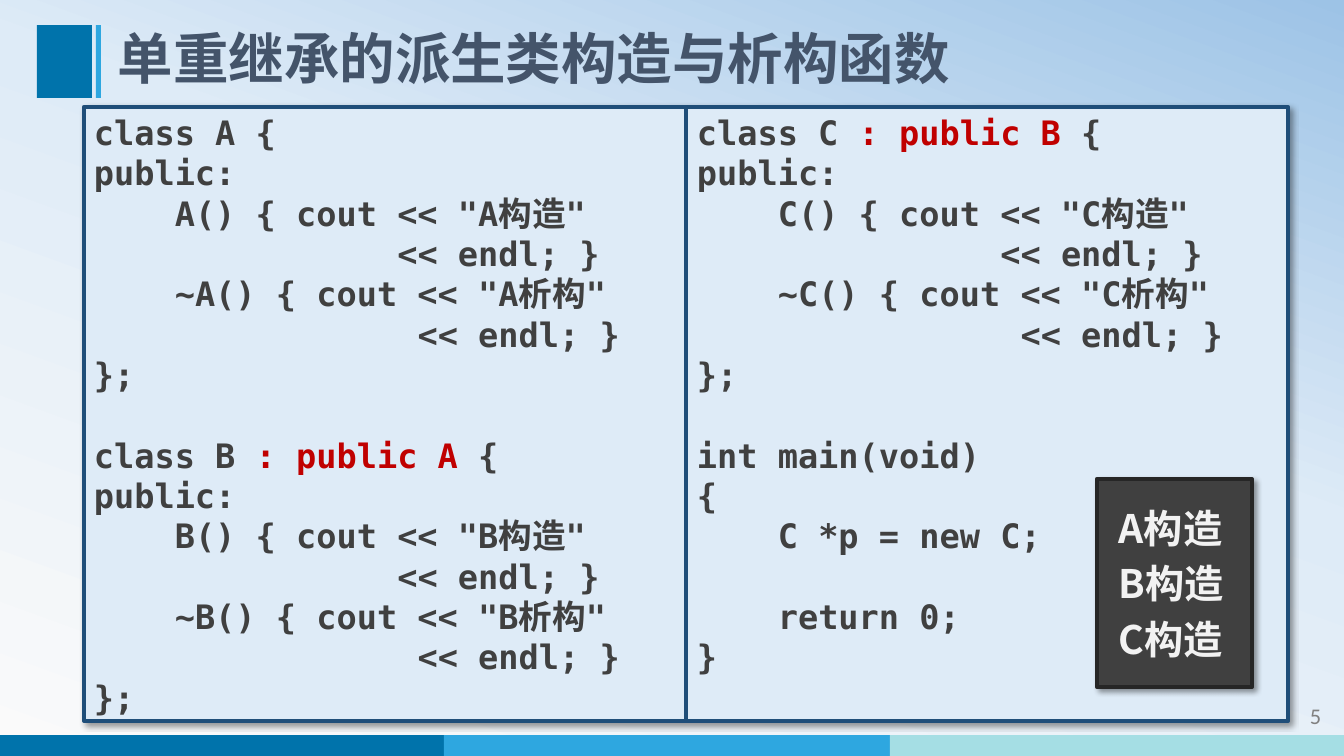
from lxml import etree
from pptx import Presentation
from pptx.dml.color import RGBColor
from pptx.enum.shapes import MSO_CONNECTOR, MSO_SHAPE
from pptx.enum.text import MSO_ANCHOR, PP_ALIGN
from pptx.oxml.ns import qn
from pptx.util import Emu, Pt

RECT, STRAIGHT = MSO_SHAPE.RECTANGLE, MSO_CONNECTOR.STRAIGHT
TOP, MIDDLE = MSO_ANCHOR.TOP, MSO_ANCHOR.MIDDLE
LEFT, RIGHT = PP_ALIGN.LEFT, PP_ALIGN.RIGHT
PX = 914400 / 100.8
CJK = "Noto Sans CJK SC"

THEME = {
    "background": [(0, "FAFAFA"), (58, "DEEBF7"), (100, "9DC3E6")],
    "bars": ["0073AB", "2EA7E0", "A5DEE4"],
    "panel": "DEEBF7", "border": "1F4E79",
    "output": "404040", "output_border": "262626",
    "accent": "C00000", "shadow": "000000",
    "title": {"name": CJK, "size": 39.6, "color": "44546A", "bold": True, "spacing": 0.9},
    "code": {"name": "DejaVu Sans Mono", "size": 24, "color": "404040", "bold": True,
             "spacing": Pt(28.8)},
    "result": {"name": CJK, "size": 28, "color": "F2F2F2", "bold": True,
               "spacing": Pt(33.6), "before": Pt(6)},
    "number": {"name": "Calibri", "size": 16, "color": "808080", "bold": False, "spacing": 1.0},
}
CODE_COLUMN = 20.23  # px width of one monospaced character

CLASS_BODY = '''public:
    @() { cout << "@构造"
               << endl; }
    ~@() { cout << "@析构"
                << endl; }
};'''
MAIN = '''int main(void)
{
    C *p = new C;

    return 0;
}'''


def add_rect(box, fill, border=None, shadow=False):
    s = slide.shapes.add_shape(RECT, *(Emu(round(v * PX)) for v in box))
    s.shadow.inherit = False
    s.fill.solid()
    s.fill.fore_color.rgb = RGBColor.from_string(fill)
    if border:
        s.line.color.rgb = RGBColor.from_string(border)
        s.line.width = Pt(3)
    else:
        s.line.fill.background()
    if shadow:
        effects = s._element.spPr.find(qn("a:effectLst"))
        outer = etree.SubElement(effects, qn("a:outerShdw"), blurRad=str(Pt(4)), dist=str(Pt(3)),
                                 dir=str(45 * 60000), algn="tl", rotWithShape="0")
        color = etree.SubElement(outer, qn("a:srgbClr"), val=THEME["shadow"])
        etree.SubElement(color, qn("a:alpha"), val="40000")
    return s


def write_lines(s, text, style, anchor=TOP, align=LEFT, indent=0):
    """Leading spaces become indents, empty lines become spacing, |...| is accented."""
    tf = s.text_frame
    tf.word_wrap = True
    tf.vertical_anchor = anchor
    p, gap = tf.paragraphs[0], 0
    for line in text.split("\n"):
        if not line:
            gap = style["spacing"]
            continue
        if p.runs:
            p = tf.add_paragraph()
        body = line.lstrip()
        margin = indent + (len(line) - len(body)) * CODE_COLUMN
        p.alignment = align
        p.line_spacing = style["spacing"]
        p.space_before = gap or style.get("before", 0)
        p._p.get_or_add_pPr().set("marL", str(round(margin * PX)))
        gap = 0
        for i, part in enumerate(body.split("|")):
            r = p.add_run()
            r.text = part
            r.font.name = style["name"]
            r.font.size = Pt(style["size"])
            r.font.bold = style["bold"]
            r.font.color.rgb = RGBColor.from_string(THEME["accent"] if i % 2 else style["color"])
            r.font._element.find(qn("a:latin")).addnext(
                etree.Element(qn("a:ea"), typeface=CJK))


prs = Presentation()
prs.slide_width, prs.slide_height = Emu(round(1344 * PX)), Emu(round(756 * PX))
slide = prs.slides.add_slide(prs.slide_layouts[6])

# Background
fill = slide.background.fill
fill.gradient()
fill.gradient_angle = 70
stops = slide.background._cSld.find(".//" + qn("a:gsLst"))
for stop in list(stops):
    stops.remove(stop)
for percent, color in THEME["background"]:
    stop = etree.SubElement(stops, qn("a:gs"), pos=str(percent * 1000))
    etree.SubElement(stop, qn("a:srgbClr"), val=color)

# Footer bars and title marks
for x, color in zip((-3, 444, 890), THEME["bars"]):
    add_rect((x, 735, 454, 21), color)
for x, width, color in zip((37, 96), (55, 5), THEME["bars"]):
    add_rect((x, 25, width, 73), color)

# Code panel with its divider
panel = add_rect((84, 107, 1204, 614), THEME["panel"], THEME["border"], shadow=True)
divider = slide.shapes.add_connector(STRAIGHT, 0, 0, 0, 0)
divider.begin_connect(panel, 0)
divider.end_connect(panel, 2)
divider.line.color.rgb = RGBColor.from_string(THEME["border"])
divider.line.width = Pt(3)
etree.SubElement(divider._element.spPr, qn("a:effectLst"))

# Title, page number and the two code columns
class_a, class_b, class_c = (
    f"class {name} {base}{{\n" + CLASS_BODY.replace("@", name)
    for name, base in (("A", ""), ("B", "|: public A |"), ("C", "|: public B |")))
texts = [
    ((108, 25, 1095, 73), "单重继承的派生类构造与析构函数", "title", MIDDLE, LEFT),
    ((1171, 697, 160, 40), "5", "number", TOP, RIGHT),
    ((84, 107, 601, 621), class_a + "\n\n" + class_b, "code", TOP, LEFT),
    ((687, 107, 603, 581), class_c + "\n\n" + MAIN, "code", TOP, LEFT),
]
for box, text, style, anchor, align in texts:
    s = slide.shapes.add_textbox(*(Emu(round(v * PX)) for v in box))
    write_lines(s, text, THEME[style], anchor, align)

# Program output
output = add_rect((1097, 479, 155, 208), THEME["output"], THEME["output_border"], shadow=True)
write_lines(output, "A构造\nB构造\nC构造", THEME["result"], MIDDLE, indent=12)

prs.save("out.pptx")
